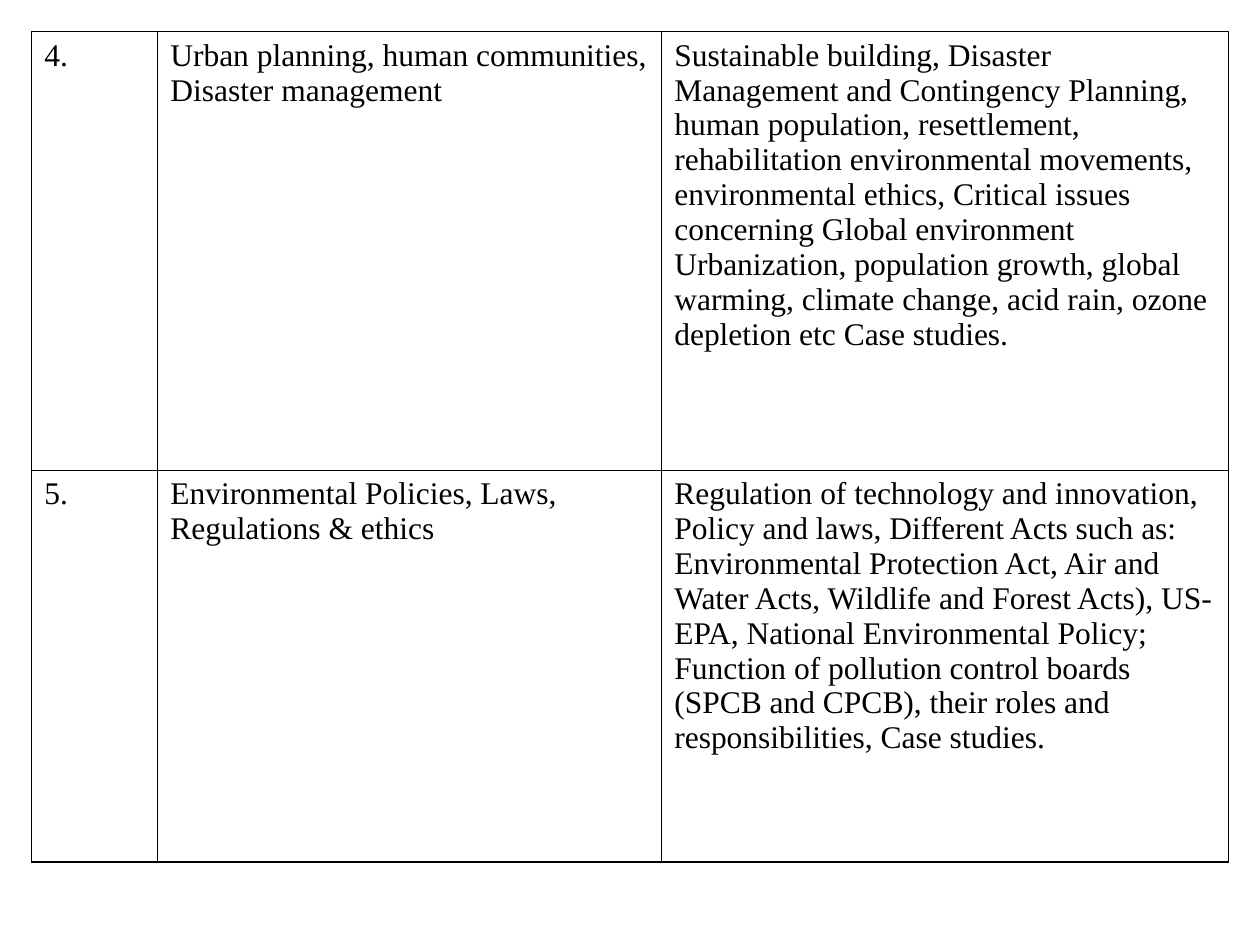
import pptx
import pptx.dml.color
import pptx.oxml
import pptx.oxml.ns
import pptx.util

Cm = pptx.util.Cm
BLACK = pptx.dml.color.RGBColor(0, 0, 0)
FONT = "Times New Roman"

COL_WIDTHS = [Cm(2.54), Cm(10.16), Cm(11.43)]
ROW_HEIGHTS = [Cm(8.84), Cm(7.9)]
UNITS = [
    ("4.",
     "Urban planning, human communities, Disaster management",
     "Sustainable building, Disaster Management and Contingency Planning, "
     "human population, resettlement, rehabilitation environmental movements, "
     "environmental ethics, Critical issues concerning Global environment "
     "Urbanization, population growth, global warming, climate change, "
     "acid rain, ozone depletion etc Case studies."),
    ("5.",
     "Environmental Policies, Laws, Regulations & ethics",
     "Regulation of technology and innovation, Policy and laws, Different "
     "Acts such as: Environmental Protection Act, Air and Water Acts, "
     "Wildlife and Forest Acts), US-EPA, National Environmental Policy; "
     "Function of pollution control boards (SPCB and CPCB), their roles and "
     "responsibilities, Case studies."),
]


def set_borders(cell, color, width):
    """Draw a solid line on all four sides; call before setting the fill."""
    tc_pr = cell._tc.get_or_add_tcPr()
    for side in ("lnL", "lnR", "lnT", "lnB"):
        tc_pr.append(pptx.oxml.parse_xml(
            f'<a:{side} {pptx.oxml.ns.nsdecls("a")} w="{int(width)}">'
            f'<a:solidFill><a:srgbClr val="{color}"/></a:solidFill></a:{side}>'))


def fill_cell(cell, text):
    set_borders(cell, BLACK, pptx.util.Pt(1))
    cell.fill.background()
    r = cell.text_frame.paragraphs[0].add_run()
    r.text = text
    r.font.name = FONT
    r.font.size = pptx.util.Pt(18)
    r.font.bold = False
    r.font.color.rgb = BLACK


def add_unit_table(s, left, top):
    frame = s.shapes.add_table(len(UNITS), len(COL_WIDTHS), left, top,
                               sum(COL_WIDTHS), sum(ROW_HEIGHTS))
    table = frame.table
    table.first_row = False
    table.horz_banding = False
    for column, width in zip(table.columns, COL_WIDTHS):
        column.width = width
    for row, height, unit in zip(table.rows, ROW_HEIGHTS, UNITS):
        row.height = height
        for cell, text in zip(row.cells, unit):
            fill_cell(cell, text)


def main():
    prs = pptx.Presentation()
    prs.slide_width, prs.slide_height = Cm(25.4), Cm(19.05)
    s = prs.slides.add_slide(prs.slide_layouts[6])

    # Syllabus units: number, title, topics
    add_unit_table(s, Cm(0.64), Cm(0.64))

    prs.save("out.pptx")


if __name__ == "__main__":
    main()
